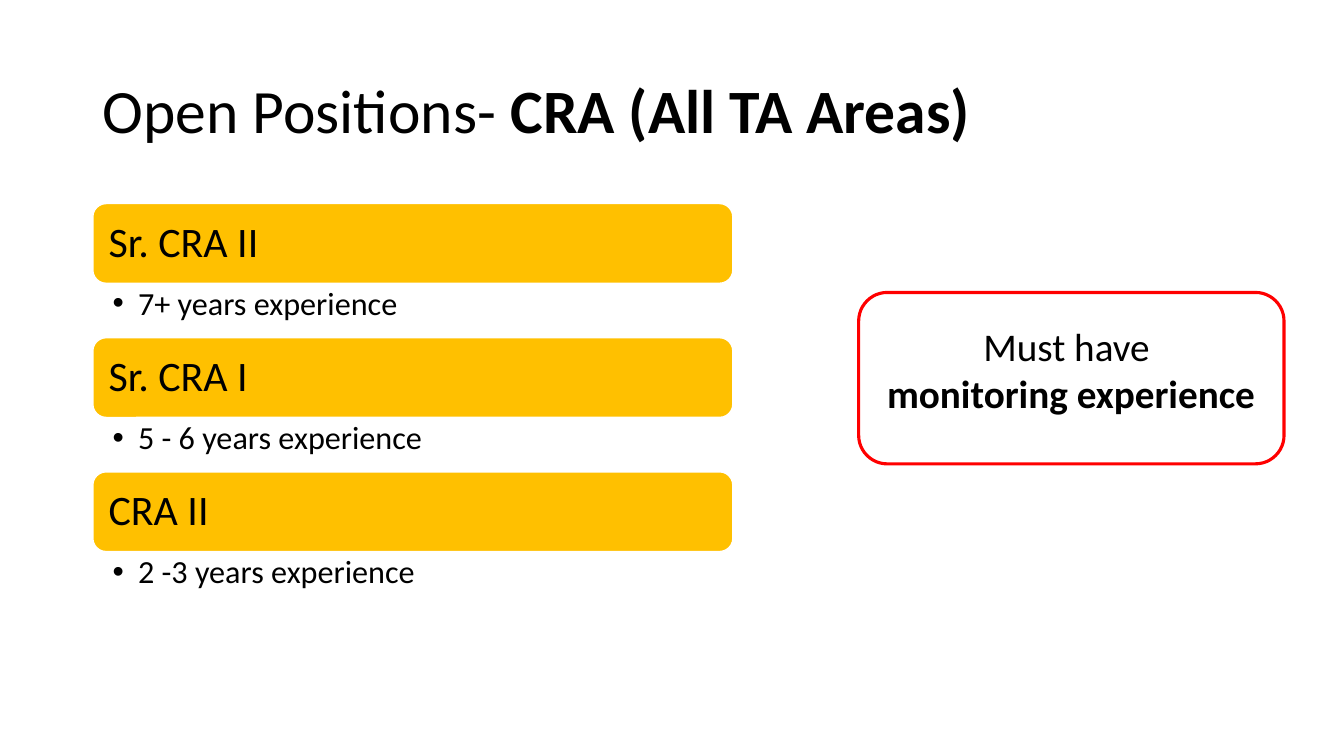
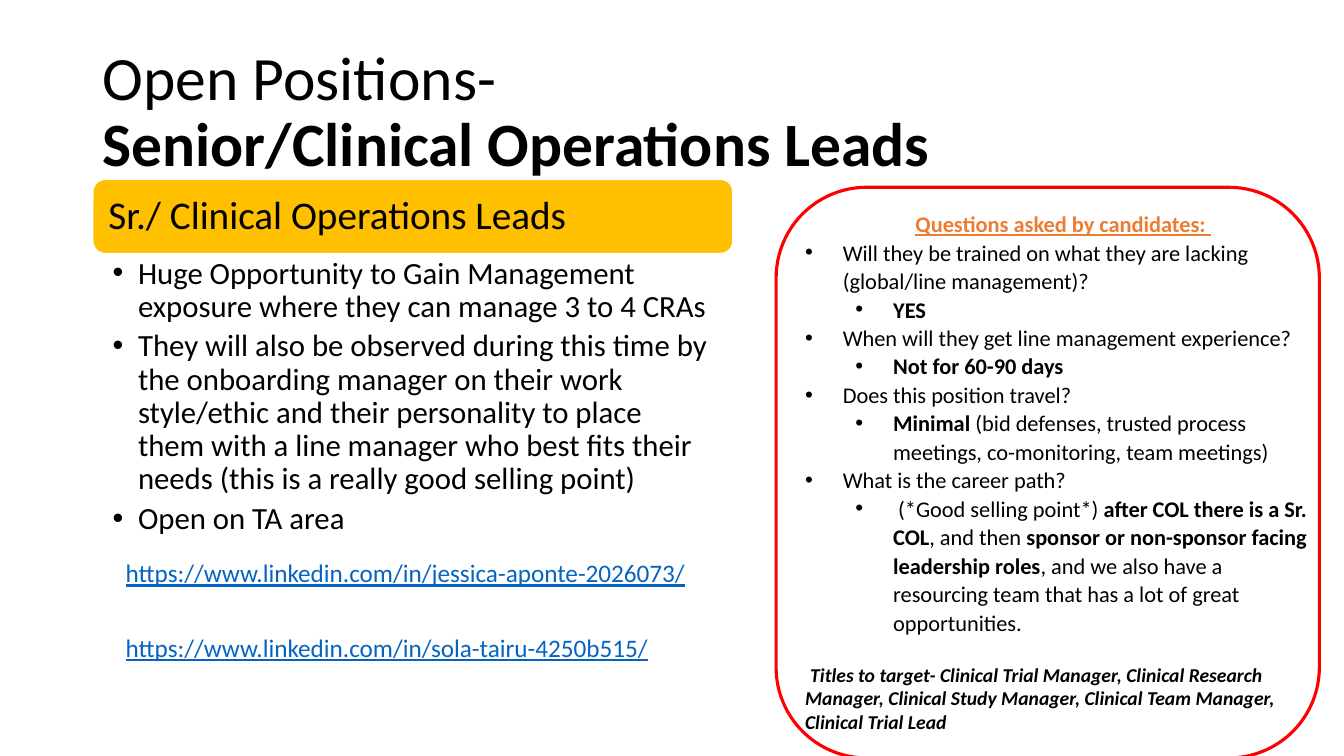
from dataclasses import dataclass

from lxml import etree
from pptx import Presentation
from pptx.dml.color import RGBColor
from pptx.enum.shapes import MSO_SHAPE
from pptx.enum.text import MSO_ANCHOR, MSO_AUTO_SIZE, PP_ALIGN
from pptx.oxml.ns import qn
from pptx.util import Cm, Pt

ROUNDED = MSO_SHAPE.ROUNDED_RECTANGLE
MIDDLE, TOP = MSO_ANCHOR.MIDDLE, MSO_ANCHOR.TOP
LEFT, CENTER = PP_ALIGN.LEFT, PP_ALIGN.CENTER
NO_AUTOFIT = MSO_AUTO_SIZE.NONE
TITLE_ONLY = 5


@dataclass(frozen=True)
class Theme:
    font: str = "Calibri"
    text: str = "000000"
    paper: str = "FFFFFF"
    bar: str = "FFC000"
    outline: str = "FF0000"
    accent: str = "ED7D31"
    link: str = "0563C1"
    title_size: int = 44
    bar_size: int = 30
    lead_bar_size: int = 28
    bullet_size: int = 23
    lead_bullet_size: int = 22
    callout_size: int = 28
    question_size: int = 16
    target_size: int = 14
    link_size: int = 18


THEME = Theme()
COLUMN_LEFT, COLUMN_WIDTH = 2.34, 16.13
DEFAULT_INSETS = (0.25, 0.13, 0.25, 0.13)
BULLET_INSETS = (0.5, 0.1, 0.58, 0.1)

POSITIONS = [
    ("Sr. CRA II", "7+ years experience"),
    ("Sr. CRA I", "5 - 6 years experience"),
    ("CRA II", "2 -3 years experience"),
]
LEAD_POINTS = [
    "Huge Opportunity to Gain Management exposure where they can manage 3 to 4 CRAs",
    "They will also be observed during this time by the onboarding manager on their "
    "work style/ethic and their personality to place them with a line manager who "
    "best fits their needs (this is a really good selling point)",
    "Open on TA area",
]
PROFILE_LINKS = [
    "https://www.linkedin.com/in/jessica-aponte-2026073/",
    "https://www.linkedin.com/in/sola-tairu-4250b515/",
]
# Text between double asterisks is bold
QUESTIONS = [
    ("Will they be trained on what they are lacking (global/line management)?",
     "**YES**"),
    ("When will they get line management experience?", "**Not for 60-90 days**"),
    ("Does this position travel?",
     "**Minimal** (bid defenses, trusted process meetings, co-monitoring, team meetings)"),
    ("What is the career path?",
     " (*Good selling point*) **after COL there is a Sr. COL**, and then "
     "**sponsor or non-sponsor facing leadership roles**, and we also have a "
     "resourcing team that has a lot of great opportunities."),
]
TARGET_TITLES = (
    "**Titles to target- Clinical Trial Manager, Clinical Research Manager, "
    "Clinical Study Manager, Clinical Team Manager, Clinical Trial Lead**"
)


# Text
def add_paragraph(frame, text, size, color=THEME.text, align=LEFT, spacing=1.0,
                  before=0, after=0, margin=0, indent=0, bullet=False,
                  italic=False, underline=False):
    """Fill the first empty paragraph of a frame, or add one after the last."""
    paragraph = frame.paragraphs[0]
    if paragraph.runs:
        paragraph = frame.add_paragraph()
    properties = paragraph._p.get_or_add_pPr()
    properties.set("marL", str(Cm(margin)))
    properties.set("indent", str(Cm(indent)))
    if bullet:
        etree.SubElement(properties, qn("a:buFont"), typeface="Arial")
        etree.SubElement(properties, qn("a:buChar"), char="•")
    paragraph.alignment = align
    paragraph.line_spacing = spacing
    paragraph.space_before, paragraph.space_after = Pt(before), Pt(after)
    for position, part in enumerate(text.split("**")):
        for line_number, line in enumerate(part.split("\n")):
            if line_number:
                paragraph.add_line_break()
            if not line:
                continue
            run = paragraph.add_run()
            run.text = line
            run.font.name, run.font.size = THEME.font, Pt(size)
            run.font.color.rgb = RGBColor.from_string(color)
            run.font.bold = position % 2 == 1
            run.font.italic, run.font.underline = italic, underline


def format_frame(frame, anchor=TOP, insets=DEFAULT_INSETS):
    frame.word_wrap = True
    frame.auto_size = NO_AUTOFIT
    frame.vertical_anchor = anchor
    (frame.margin_left, frame.margin_top,
     frame.margin_right, frame.margin_bottom) = map(Cm, insets)
    return frame


def add_text_box(slide, left, top, width, height, insets=DEFAULT_INSETS):
    shape = slide.shapes.add_textbox(Cm(left), Cm(top), Cm(width), Cm(height))
    return format_frame(shape.text_frame, insets=insets)


# Elements
def add_titled_slide(presentation, title):
    slide = presentation.slides.add_slide(presentation.slide_layouts[TITLE_ONLY])
    shape = slide.shapes.title
    shape.left, shape.top, shape.width, shape.height = map(Cm, (2.34, 1.02, 29.21, 3.68))
    frame = format_frame(shape.text_frame, anchor=MIDDLE)
    add_paragraph(frame, title, THEME.title_size, spacing=0.9)
    return slide


def add_rounded_box(slide, left, top, width, height, fill, line, line_width):
    shape = slide.shapes.add_shape(ROUNDED, Cm(left), Cm(top), Cm(width), Cm(height))
    shape.shadow.inherit = False
    shape.fill.solid()
    shape.fill.fore_color.rgb = RGBColor.from_string(fill)
    shape.line.color.rgb = RGBColor.from_string(line)
    shape.line.width = Pt(line_width)
    return shape


def add_callout(slide, left, top, width, height):
    add_rounded_box(slide, left, top, width, height, THEME.paper, THEME.outline, 2.25)


def add_position(slide, heading, points, top, bar_height, points_height,
                 heading_size, point_size):
    """Add a yellow heading bar with its bullet points below."""
    bar = add_rounded_box(slide, COLUMN_LEFT, top, COLUMN_WIDTH, bar_height,
                          THEME.bar, THEME.paper, 1)
    frame = format_frame(bar.text_frame, anchor=MIDDLE, insets=(0.3, 0.3, 0.3, 0.3))
    add_paragraph(frame, heading, heading_size, spacing=0.9)
    frame = add_text_box(slide, COLUMN_LEFT, top + bar_height, COLUMN_WIDTH,
                         points_height, insets=BULLET_INSETS)
    for point in points:
        add_paragraph(frame, point, point_size, spacing=0.9, after=point_size * 0.2,
                      margin=0.64, indent=-0.64, bullet=True)


# Slides
def build_monitoring_slide(presentation):
    slide = add_titled_slide(presentation, "Open Positions- **CRA (All TA Areas)**")
    for row, (heading, point) in enumerate(POSITIONS):
        add_position(slide, heading, [point], 5.13 + row * 3.38, 2.01, 1.37,
                     THEME.bar_size, THEME.bullet_size)
    add_callout(slide, 21.64, 7.37, 10.72, 4.32)
    frame = add_text_box(slide, 21.26, 8, 11.46, 2.64)
    for line in ("Must have ", "**monitoring experience**"):
        add_paragraph(frame, line, THEME.callout_size, align=CENTER)


def build_leads_slide(presentation):
    slide = add_titled_slide(
        presentation, "Open Positions- \n**Senior/Clinical Operations Leads**")
    add_position(slide, "Sr./ Clinical Operations Leads", LEAD_POINTS, 4.52, 1.87, 8.53,
                 THEME.lead_bar_size, THEME.lead_bullet_size)
    for row, link in enumerate(PROFILE_LINKS):
        frame = add_text_box(slide, 2.92, 13.92 + row * 1.88, 16.92, 1.02)
        add_paragraph(frame, link, THEME.link_size, color=THEME.link, underline=True)

    # Candidate questions
    add_callout(slide, 19.56, 4.72, 13.69, 14.38)
    frame = add_text_box(slide, 20.04, 5.13, 13.51, 13.87)
    add_paragraph(frame, "**Questions asked by candidates: **", THEME.question_size,
                  color=THEME.accent, align=CENTER, spacing=1.06, underline=True)
    for question, answer in QUESTIONS:
        for text, margin in ((question, 0.95), (answer, 2.22)):
            add_paragraph(frame, text, THEME.question_size, spacing=1.06,
                          margin=margin, indent=-0.95, bullet=True)
    add_paragraph(frame, TARGET_TITLES, THEME.target_size, before=19.5, indent=0.13,
                  italic=True)


def main():
    presentation = Presentation()
    presentation.slide_width, presentation.slide_height = Cm(33.87), Cm(19.05)
    build_monitoring_slide(presentation)
    build_leads_slide(presentation)
    presentation.save("out.pptx")


if __name__ == "__main__":
    main()
